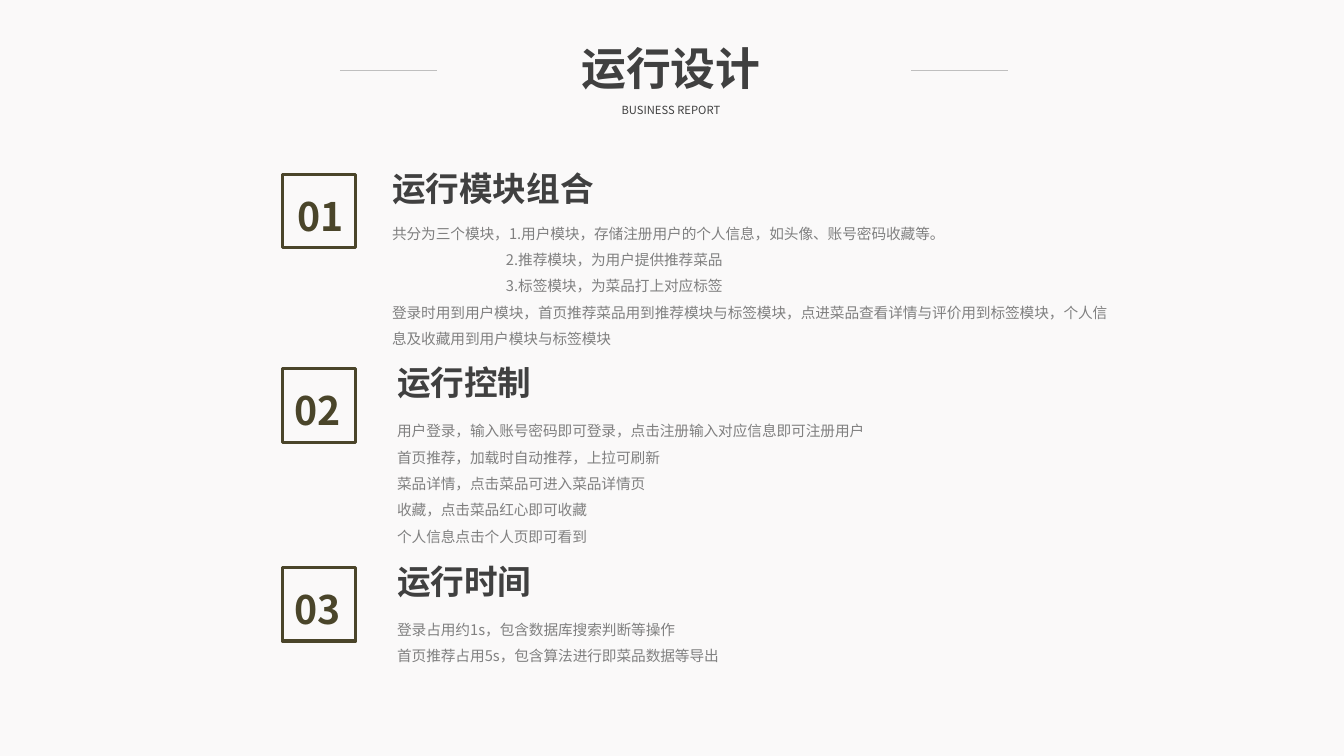
from dataclasses import dataclass

from pptx import Presentation
from pptx.dml.color import RGBColor
from pptx.enum.shapes import MSO_CONNECTOR, MSO_SHAPE
from pptx.enum.text import MSO_ANCHOR, PP_ALIGN
from pptx.oxml.ns import qn
from pptx.util import Inches, Pt

LEFT, CENTER = PP_ALIGN.LEFT, PP_ALIGN.CENTER
TOP = MSO_ANCHOR.TOP
RECTANGLE = MSO_SHAPE.RECTANGLE
STRAIGHT = MSO_CONNECTOR.STRAIGHT
CELL = Inches(0.1)  # one grid column or row


@dataclass(frozen=True)
class Theme:
    font: str = "Noto Sans CJK SC"
    paper: str = "FAF9F9"
    ink: str = "404040"
    body: str = "808080"
    accent: str = "4A452A"
    rule: str = "BFBFBF"
    title_size: float = 32
    number_size: float = 28
    heading_size: float = 24
    body_size: float = 10.5
    caption_size: float = 8


THEME = Theme()


def cells(*counts):
    return [round(count * CELL) for count in counts]


def write_text(box, lines, *, size, color, bold=False, align=LEFT,
               spacing=1.0, before=0, wrap=True, indents=None):
    """Fill a box with paragraphs; indents maps a line's index to its left margin."""
    frame = box.text_frame
    frame.word_wrap = wrap
    frame.vertical_anchor = TOP
    for index, line in enumerate(lines):
        para = frame.paragraphs[0] if index == 0 else frame.add_paragraph()
        para.alignment = align
        para.line_spacing = spacing
        para.space_before = Pt(before)
        if indents and index in indents:
            margin = cells(indents[index])[0]
            para._p.get_or_add_pPr().set("marL", str(margin))
        span = para.add_run()
        span.text = line
        span.font.name = THEME.font
        span.font.size = Pt(size)
        span.font.bold = bold
        span.font.color.rgb = RGBColor.from_string(color)
        properties = span._r.get_or_add_rPr()
        east_asian = properties.makeelement(qn("a:ea"), {"typeface": THEME.font})
        properties.find(qn("a:latin")).addnext(east_asian)


class Page:
    def __init__(self, deck, theme):
        self.theme = theme
        self.slide = deck.slides.add_slide(deck.slide_layouts[5])
        fill = self.slide.background.fill
        fill.solid()
        fill.fore_color.rgb = RGBColor.from_string(theme.paper)

    def title(self, text, *place):
        box = self.slide.shapes.title
        box.left, box.top, box.width, box.height = cells(*place)
        write_text(box, [text], size=self.theme.title_size,
                   color=self.theme.ink, bold=True, align=CENTER)

    def text(self, lines, *place, **style):
        box = self.slide.shapes.add_textbox(*cells(*place))
        write_text(box, lines, **style)

    def rule(self, start, end, row):
        line = self.slide.shapes.add_connector(STRAIGHT, *cells(start, row, end, row))
        line.line.color.rgb = RGBColor.from_string(self.theme.rule)
        line.line.width = Pt(0.75)
        properties = line._element.spPr
        properties.append(properties.makeelement(qn("a:effectLst"), {}))

    def square(self, column, row, side):
        box = self.slide.shapes.add_shape(RECTANGLE, *cells(column, row, side, side))
        box.shadow.inherit = False
        box.fill.background()
        box.line.color.rgb = RGBColor.from_string(self.theme.accent)
        box.line.width = Pt(2.25)
        outline = box.line._get_or_add_ln()
        outline.append(outline.makeelement(qn("a:round"), {}))

    def section(self, number, heading, lines, *, row, number_column, column,
                heading_rise, body_drop, width, indents=None):
        theme = self.theme
        self.text([number], number_column, row + 1.8, 7.5, 4.4,
                  size=theme.number_size, color=theme.accent, bold=True,
                  spacing=0.9, before=10)
        self.square(28, row, 7.3)
        self.text([heading], column, row - heading_rise, 3.3 * len(heading) + 2.2, 5,
                  size=theme.heading_size, color=theme.ink, bold=True, wrap=False)
        self.text(lines, column, row + body_drop, width, 2.6 * len(lines) + 1,
                  size=theme.body_size, color=theme.body, spacing=1.5, indents=indents)


# Sections: the first sits slightly further left than the other two
FIRST = dict(number_column=28.5, column=37.9, heading_rise=1.1, body_drop=3.6,
             width=73.2, indents={1: 11.3, 2: 11.3})
OTHER = dict(number_column=28.2, column=38.4, heading_rise=1.15, body_drop=3.9,
             width=69.8)
SECTIONS = [
    ("01", "运行模块组合", [
        "共分为三个模块，1.用户模块，存储注册用户的个人信息，如头像、账号密码收藏等。",
        "2.推荐模块，为用户提供推荐菜品",
        "3.标签模块，为菜品打上对应标签",
        "登录时用到用户模块，首页推荐菜品用到推荐模块与标签模块，点进菜品查看详情"
        "与评价用到标签模块，个人信息及收藏用到用户模块与标签模块",
    ], 17.3, FIRST),
    ("02", "运行控制", [
        "用户登录，输入账号密码即可登录，点击注册输入对应信息即可注册用户",
        "首页推荐，加载时自动推荐，上拉可刷新",
        "菜品详情，点击菜品可进入菜品详情页",
        "收藏，点击菜品红心即可收藏",
        "个人信息点击个人页即可看到",
    ], 36.6, OTHER),
    ("03", "运行时间", [
        "登录占用约1s，包含数据库搜索判断等操作",
        "首页推荐占用5s，包含算法进行即菜品数据等导出",
    ], 56.3, OTHER),
]


def main():
    deck = Presentation()
    deck.slide_width, deck.slide_height = Inches(13.33), Inches(7.5)
    page = Page(deck, THEME)

    # Header
    page.title("运行设计", 46, 3.5, 41.1, 6.4)
    page.text(["BUSINESS REPORT"], 58.6, 9.8, 15.9, 2.4,
              size=THEME.caption_size, color=THEME.ink, align=CENTER)
    for start in (33.7, 90.4):
        page.rule(start, start + 9.6, 7)

    # Numbered sections
    for number, heading, lines, row, layout in SECTIONS:
        page.section(number, heading, lines, row=row, **layout)

    deck.save("out.pptx")


if __name__ == "__main__":
    main()
